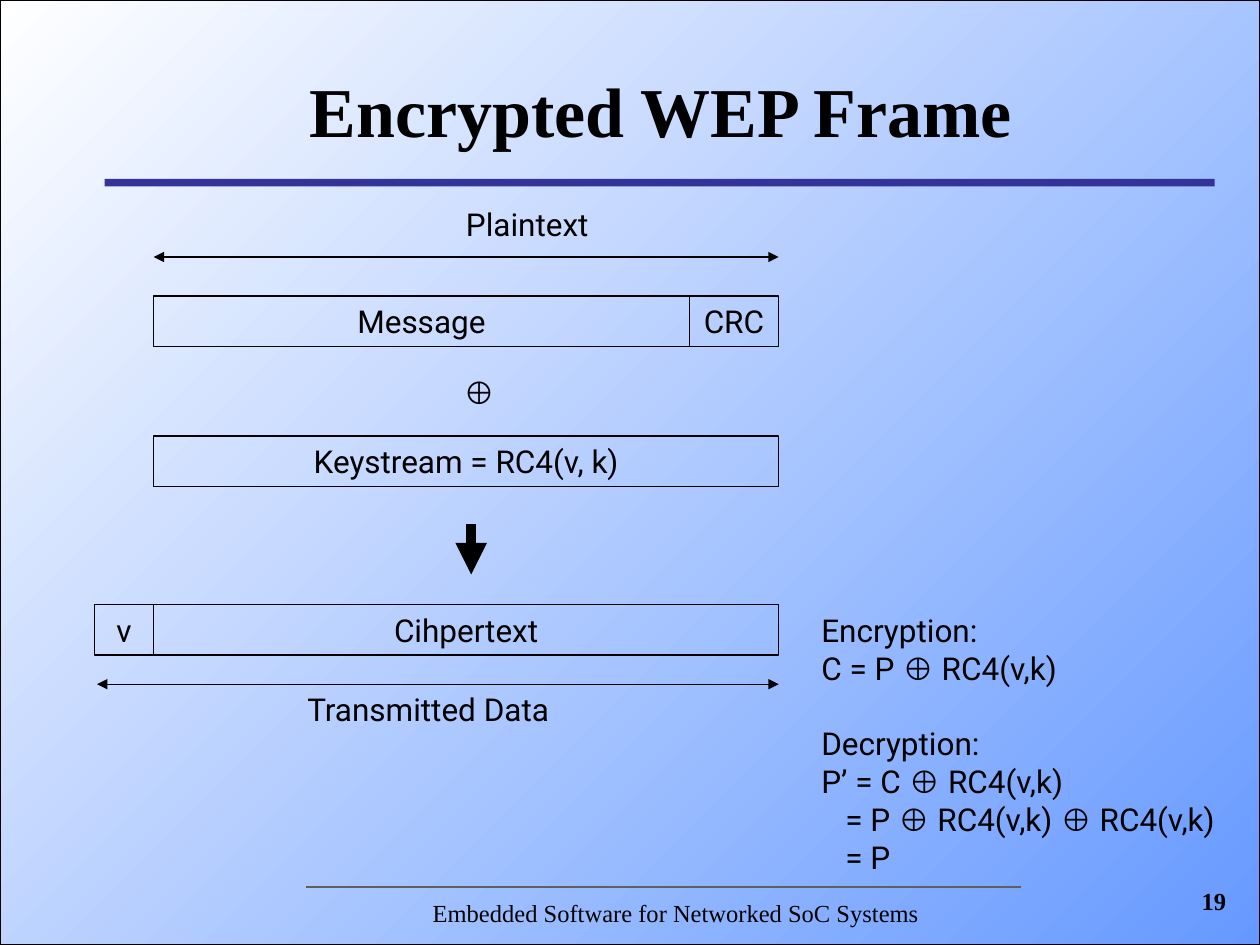
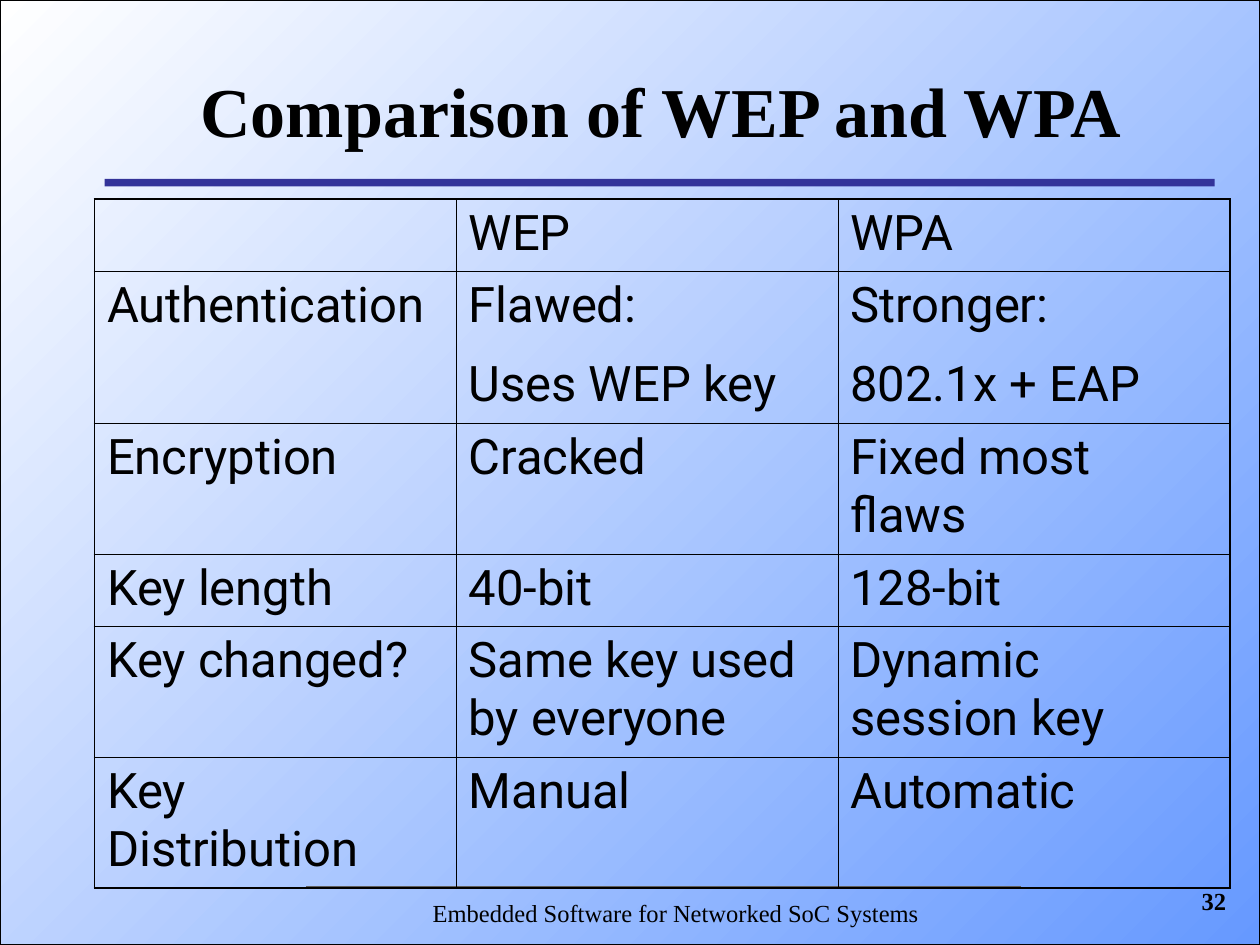
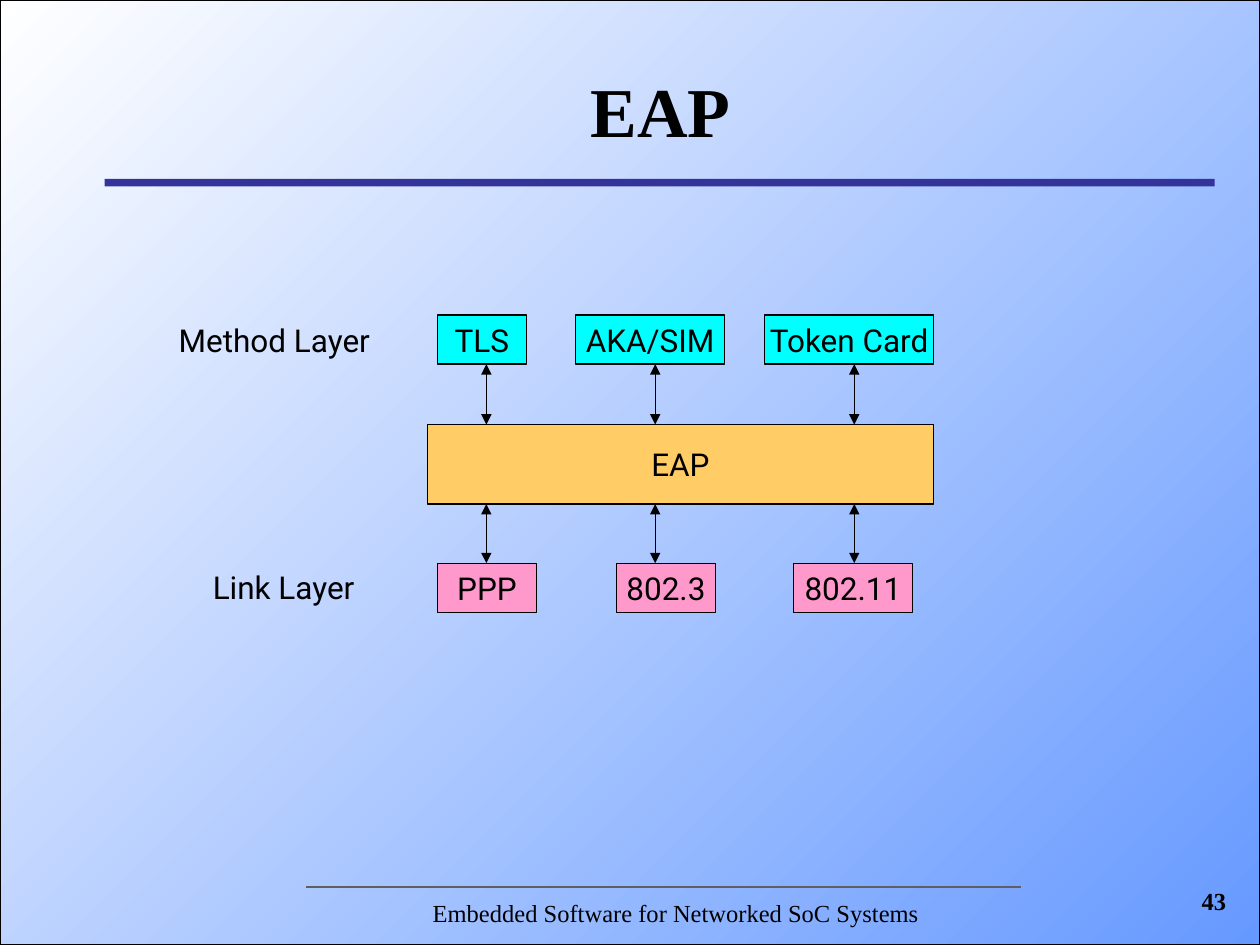
from lxml.etree import SubElement
from pptx import Presentation
from pptx.dml.color import RGBColor
from pptx.enum.shapes import MSO_CONNECTOR, MSO_SHAPE
from pptx.enum.text import MSO_ANCHOR, PP_ALIGN
from pptx.oxml import parse_xml
from pptx.oxml.ns import nsdecls, qn
from pptx.util import Inches, Pt

COLORS = {
    "ink": "000000",
    "sky": "6699FF",
    "white": "FFFFFF",
    "rule": "333399",
    "footer_rule": "5F5F5F",
    "eap": "FFCC66",
    "link": "FF99CC",
    "method": "00FFFF",
}
SERIF = "Times New Roman"
SANS = "Roboto"
SYMBOL = "Arial"
XOR = "⊕"
FOOTER = "Embedded Software for Networked SoC Systems"


def rgb(name):
    return RGBColor.from_string(COLORS[name])


def write(frame, text, size=18, font=SANS, bold=False, align=PP_ALIGN.LEFT,
          anchor=MSO_ANCHOR.TOP, wrap=True, gaps=None, indents=None):
    frame.word_wrap = wrap
    frame.vertical_anchor = anchor
    for index, line in enumerate(text.split("\n")):
        paragraph = frame.paragraphs[0] if index == 0 else frame.add_paragraph()
        paragraph.alignment = align
        paragraph.space_before = Pt((gaps or {}).get(index, 0))
        indent = (indents or {}).get(index)
        if indent:
            properties = paragraph._p.get_or_add_pPr()
            properties.set("marL", str(Inches(indent)))
            properties.set("indent", "0")
        before, *after = line.split(XOR)
        pieces = [before] + [piece for part in after for piece in (XOR, part)]
        for piece in filter(None, pieces):
            run = paragraph.add_run()
            run.text = piece
            run.font.name = SYMBOL if piece == XOR else font
            run.font.size = Pt(size)
            run.font.bold = bold
            run.font.color.rgb = rgb("ink")


class Deck:
    def __init__(self):
        self.presentation = Presentation()
        self.presentation.slide_width = Inches(10)
        self.presentation.slide_height = Inches(7.5)
        self.slide = None

    def start(self, title, number):
        layout = self.presentation.slide_layouts[5]
        self.slide = self.presentation.slides.add_slide(layout)
        backdrop = self.box(0, 0, 10, 7.5)
        backdrop.fill.gradient()
        backdrop.fill.gradient_angle = 135
        for stop, color in zip(backdrop.fill.gradient_stops, ("sky", "white")):
            stop.color.rgb = rgb(color)
        self.box(0.83, 1.42, 8.81, 0.06, fill="rule", line=None)
        self.line(2.43, 7.04, 8.1, 7.04, color="footer_rule", width=1.5)
        heading = self.slide.shapes.title
        self.slide.shapes.element.append(heading.element)
        heading.left, heading.top = Inches(0.83), Inches(0.33)
        heading.width, heading.height = Inches(8.83), Inches(1.08)
        write(heading.text_frame, title, size=40, font=SERIF, bold=True,
              align=PP_ALIGN.CENTER, anchor=MSO_ANCHOR.MIDDLE)
        self.label(FOOTER, 0.83, 7.08, 8.83, 0.35, size=14, font=SERIF,
                   align=PP_ALIGN.CENTER, indents={0: 0.24})
        self.label(str(number), 8.75, 6.98, 1.08, 0.5, size=14, font=SERIF,
                   bold=True, align=PP_ALIGN.RIGHT)

    def box(self, left, top, width, height, text="", fill=None, line="ink"):
        shape = self.slide.shapes.add_shape(
            MSO_SHAPE.RECTANGLE, Inches(left), Inches(top), Inches(width), Inches(height))
        shape.shadow.inherit = False
        if fill:
            shape.fill.solid()
            shape.fill.fore_color.rgb = rgb(fill)
        else:
            shape.fill.background()
        if line:
            shape.line.color.rgb = rgb(line)
            shape.line.width = Pt(0.75)
        else:
            shape.line.fill.background()
        if text:
            write(shape.text_frame, text, align=PP_ALIGN.CENTER,
                  anchor=MSO_ANCHOR.MIDDLE, wrap=False)
        return shape

    def label(self, text, left, top, width, height=0.4, **style):
        textbox = self.slide.shapes.add_textbox(
            Inches(left), Inches(top), Inches(width), Inches(height))
        write(textbox.text_frame, text, **style)

    def line(self, x1, y1, x2, y2, color="ink", width=0.75, heads=()):
        connector = self.slide.shapes.add_connector(
            MSO_CONNECTOR.STRAIGHT, Inches(x1), Inches(y1), Inches(x2), Inches(y2))
        connector.line.color.rgb = rgb(color)
        connector.line.width = Pt(width)
        properties = connector.element.spPr
        outline = properties.find(qn("a:ln"))
        for head in heads:
            SubElement(outline, qn(f"a:{head}"), type="triangle")
        SubElement(properties, qn("a:effectLst"))

    def arrow(self, x1, y1, x2, y2):
        self.line(x1, y1, x2, y2, heads=("headEnd", "tailEnd"))

    def table(self, rows, left, top, widths, heights):
        table = self.slide.shapes.add_table(
            len(rows), len(widths), Inches(left), Inches(top),
            Inches(sum(widths)), Inches(sum(heights))).table
        table.first_row = table.horz_banding = False
        for column, width in zip(table.columns, widths):
            column.width = Inches(width)
        for row, height in zip(table.rows, heights):
            row.height = Inches(height)
        for r, row in enumerate(rows):
            for c, text in enumerate(row):
                cell = table.cell(r, c)
                cell.fill.background()
                write(cell.text_frame, text, size=28, gaps={1: 12.2})
                outer = {"L": c == 0, "R": c == len(widths) - 1,
                         "T": r == 0, "B": r == len(rows) - 1}
                self.borders(cell, outer)

    def borders(self, cell, outer):
        properties = cell._tc.get_or_add_tcPr()
        for position, (side, is_outer) in enumerate(outer.items()):
            width = Pt(1.08 if is_outer else 0.45)
            properties.insert(position, parse_xml(
                f'<a:ln{side} {nsdecls("a")} w="{width}"><a:solidFill>'
                f'<a:srgbClr val="{COLORS["ink"]}"/></a:solidFill></a:ln{side}>'))


def wep_frame(deck):
    deck.start("Encrypted WEP Frame", 19)
    left, right = 1.22, 6.18
    deck.label("Plaintext", 3.6, 1.58, 1.23)
    deck.arrow(left, 2.04, right, 2.04)
    for text, x, y, width in (
        ("Message", left, 2.35, 4.25),
        ("CRC", 5.47, 2.35, 0.71),
        ("Keystream = RC4(v, k)", left, 3.46, right - left),
        ("Cihpertext", left, 4.8, right - left),
        ("v", 0.75, 4.8, 0.47),
    ):
        deck.box(x, y, width, 0.4, text)
    deck.label(XOR, 3.58, 2.91, 0.4)
    deck.line(3.74, 4.16, 3.74, 4.56, width=6, heads=("tailEnd",))
    deck.arrow(0.77, 5.43, right, 5.43)
    deck.label("Transmitted Data", 2.34, 5.43, 2.25)
    formulas = (
        "Encryption:\nC = P ⊕ RC4(v,k)\n"
        "Decryption:\nP’ = C ⊕ RC4(v,k)\n"
        "= P ⊕ RC4(v,k) ⊕ RC4(v,k)\n= P"
    )
    deck.label(formulas, 6.42, 4.8, 3.39, 2.2,
               gaps={2: 21.5}, indents={4: 0.19, 5: 0.19})


def comparison(deck):
    deck.start("Comparison of WEP and WPA", 32)
    rows = (
        ("", "WEP", "WPA"),
        ("Authentication", "Flawed:\nUses WEP key", "Stronger:\n802.1x + EAP"),
        ("Encryption", "Cracked", "Fixed most flaws"),
        ("Key length", "40-bit", "128-bit"),
        ("Key changed?", "Same key used by everyone", "Dynamic session key"),
        ("Key Distribution", "Manual", "Automatic"),
    )
    deck.table(rows, 0.75, 1.58, (2.87, 3.03, 3.11),
               (0.57, 1.21, 1.04, 0.57, 1.04, 1.04))


def eap_layers(deck):
    deck.start("EAP", 43)
    method_top, eap_top, link_top = 2.5, 3.37, 4.47
    box_height, eap_height = 0.39, 0.63
    deck.box(3.39, eap_top, 4.02, eap_height, "EAP", fill="eap")
    layers = (
        (link_top, "link", (("PPP", 3.47, 0.79), ("802.3", 4.89, 0.79),
                            ("802.11", 6.3, 0.94))),
        (method_top, "method", (("TLS", 3.47, 0.71), ("AKA/SIM", 4.57, 1.18),
                                ("Token Card", 6.07, 1.34))),
    )
    for top, fill, protocols in layers:
        for text, left, width in protocols:
            deck.box(left, top, width, box_height, text, fill=fill)
    deck.label("Link Layer", 1.59, 4.46, 1.39)
    deck.label("Method Layer", 1.32, method_top, 1.82)
    for start, end in ((method_top + box_height, eap_top),
                       (eap_top + eap_height, link_top)):
        for x in (3.86, 5.2, 6.78):
            deck.arrow(x, start, x, end)


def main():
    deck = Deck()
    wep_frame(deck)
    comparison(deck)
    eap_layers(deck)
    deck.presentation.save("out.pptx")


if __name__ == "__main__":
    main()
